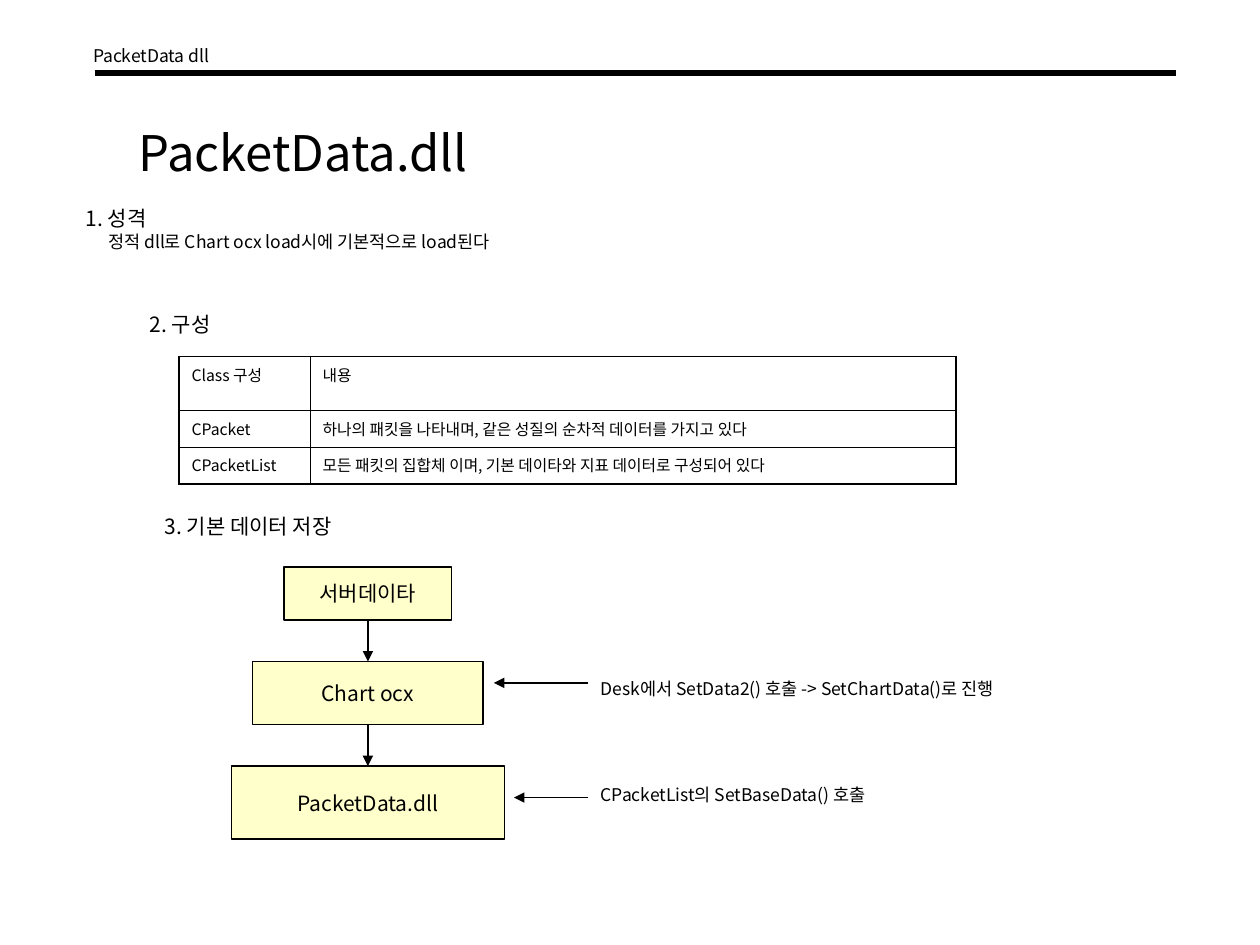
from lxml import etree
from pptx import Presentation
from pptx.dml.color import RGBColor
from pptx.enum.shapes import MSO_CONNECTOR as CONN, MSO_SHAPE as SHAPE
from pptx.enum.text import MSO_ANCHOR as ANCHOR, MSO_AUTO_SIZE as AUTO, PP_ALIGN as ALIGN
from pptx.oxml.ns import qn
from pptx.util import Inches, Pt

BLACK = RGBColor(0x00, 0x00, 0x00)
CREAM = RGBColor(0xFF, 0xFF, 0xCC)
FONT = "Noto Sans CJK KR"


def write(p, text, size, align=ALIGN.LEFT):
    p.alignment = align
    p.space_before = Pt(0)
    r = p.add_run()
    r.text = text
    r.font.name = FONT
    r.font.size = Pt(size)
    r.font.bold = False
    r.font.color.rgb = BLACK
    etree.SubElement(r._r.get_or_add_rPr(), qn("a:ea"), typeface=FONT)


def add_line(x1, y1, x2, y2, width=0.75, arrow=True):
    c = s.shapes.add_connector(CONN.STRAIGHT, Inches(x1), Inches(y1), Inches(x2), Inches(y2))
    c.line.color.rgb = BLACK
    c.line.width = Pt(width)
    if arrow:
        etree.SubElement(c.line._get_or_add_ln(), qn("a:tailEnd"), type="triangle")
    etree.SubElement(c._element.spPr, qn("a:effectLst"))
    return c


prs = Presentation()
prs.slide_width, prs.slide_height = Inches(10), Inches(7.5)
s = prs.slides.add_slide(prs.slide_layouts[1])

title, body = s.shapes.title, s.placeholders[1]
for sp, x, y, w, h in [(title, 1, 0.92, 5.17, 0.57), (body, 0.58, 1.58, 4.66, 0.5)]:
    sp.left, sp.top, sp.width, sp.height = Inches(x), Inches(y), Inches(w), Inches(h)
    sp.text_frame.auto_size = AUTO.NONE
    sp.text_frame.word_wrap = True
    sp.text_frame.vertical_anchor = ANCHOR.TOP
write(title.text_frame.paragraphs[0], "PacketData.dll", 28)

tf = body.text_frame
items = [("1. 성격", 12, 0), ("정적 dll로 Chart ocx load시에 기본적으로 load된다", 10, 0.18)]
for i, (text, size, indent) in enumerate(items):
    p = tf.add_paragraph() if i else tf.paragraphs[0]
    pPr = p._p.get_or_add_pPr()
    pPr.set("marL", str(Inches(indent)))
    pPr.set("indent", "0")
    etree.SubElement(pPr, qn("a:buNone"))
    write(p, text, size)

labels = [
    ("PacketData dll", 0.64, 0.31, 1.14, 0.27, 10, False),
    ("2. 구성", 1.09, 2.42, 0.73, 0.3, 12, False),
    ("3. 기본 데이터 저장", 1.21, 4.03, 1.57, 0.3, 12, False),
    ("Desk에서 SetData2() 호출 -> SetChartData()로 진행", 4.67, 5.33, 3.75, 0.27, 10, True),
    ("CPacketList의 SetBaseData() 호출", 4.67, 6.17, 2.58, 0.27, 10, True),
]
for text, x, y, w, h, size, wrap in labels:
    tf = s.shapes.add_textbox(Inches(x), Inches(y), Inches(w), Inches(h)).text_frame
    tf.word_wrap = wrap
    write(tf.paragraphs[0], text, size)

rows = [
    ("Class 구성", "내용"),
    ("CPacket", "하나의 패킷을 나타내며, 같은 성질의 순차적 데이터를 가지고 있다"),
    ("CPacketList", "모든 패킷의 집합체 이며, 기본 데이타와 지표 데이터로 구성되어 있다"),
]
table = s.shapes.add_table(3, 2, Inches(1.42), Inches(2.83), Inches(6.17), Inches(1.02)).table
table.first_row = table.horz_banding = False
for col, w in zip(table.columns, (1.04, 5.13)):
    col.width = Inches(w)
for row, h in zip(table.rows, (0.43, 0.29, 0.29)):
    row.height = Inches(h)
for i, texts in enumerate(rows):
    for j, text in enumerate(texts):
        cell = table.cell(i, j)
        write(cell.text_frame.paragraphs[0], text, 9)
        tcPr = cell._tc.get_or_add_tcPr()
        outer = {"lnL": j == 0, "lnR": j == 1, "lnT": i == 0, "lnB": i == 2}
        for side, is_outer in outer.items():
            ln = etree.SubElement(tcPr, qn("a:" + side), w=str(Pt(1.08 if is_outer else 0.45)))
            fill = etree.SubElement(ln, qn("a:solidFill"))
            etree.SubElement(fill, qn("a:srgbClr"), val=str(BLACK))
        cell.fill.background()

CENTER = 2.92
boxes = []
for text, y, w, h in [
    ("서버데이타", 4.5, 1.33, 0.42),
    ("Chart ocx", 5.25, 1.83, 0.5),
    ("PacketData.dll", 6.08, 2.17, 0.58),
]:
    sp = s.shapes.add_shape(SHAPE.RECTANGLE, Inches(CENTER - w / 2), Inches(y), Inches(w), Inches(h))
    sp.shadow.inherit = False
    sp.fill.solid()
    sp.fill.fore_color.rgb = CREAM
    sp.line.color.rgb = BLACK
    sp.line.width = Pt(0.75)
    tf = sp.text_frame
    tf.word_wrap = False
    tf.vertical_anchor = ANCHOR.MIDDLE
    write(tf.paragraphs[0], text, 12, ALIGN.CENTER)
    boxes.append(sp)

for upper, lower in zip(boxes, boxes[1:]):
    c = add_line(CENTER, 5, CENTER, 6)
    c.begin_connect(upper, 2)
    c.end_connect(lower, 0)

add_line(4.67, 5.42, 3.92, 5.42)
add_line(4.67, 6.33, 4.08, 6.33)
add_line(0.75, 0.58, 9.33, 0.58, 3.5, arrow=False)

prs.save("out.pptx")
